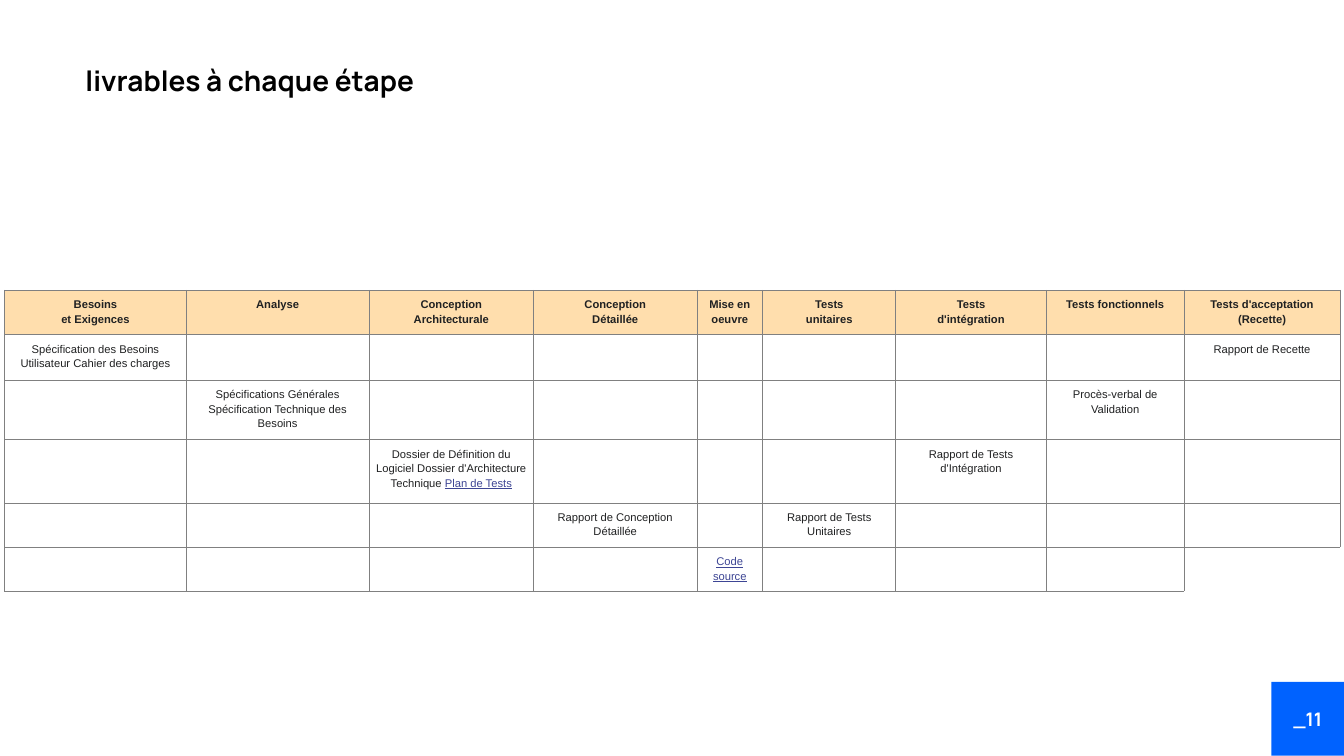
"""Build the slide that lists the deliverables of each V-model stage."""
from lxml import etree
from pptx import Presentation
from pptx import util as u
from pptx.dml.color import RGBColor
from pptx.enum import shapes, text
from pptx.oxml.ns import qn

BLACK = RGBColor(0x00, 0x00, 0x00)
WHITE = RGBColor(0xFF, 0xFF, 0xFF)
BLUE = RGBColor(0x00, 0x62, 0xFF)
INK = RGBColor(0x20, 0x21, 0x22)
LINK = RGBColor(0x3D, 0x45, 0x94)
SAND = RGBColor(0xFF, 0xDE, 0xAD)
GREY = RGBColor(0x80, 0x80, 0x80)

TITLE_FONT = {"name": "Manrope", "size": u.Pt(30), "bold": True}
NUMBER_FONT = {"name": "Manrope", "size": u.Pt(20), "bold": True}
STAGE_FONT = {"name": "Arial", "size": u.Pt(12), "bold": True}
DELIVERABLE_FONT = {"name": "Arial", "size": u.Pt(12), "bold": False}
LINK_FONT = {**DELIVERABLE_FONT, "underline": True}
CENTRED = {"alignment": text.PP_ALIGN.CENTER}
CELL_PARAGRAPH = {**CENTRED, "line_spacing": 1.15}

COLUMN_WIDTHS = [6.86, 6.91, 6.22, 6.17, 2.49, 5.03, 5.69, 5.21, 5.89]
ROW_HEIGHTS = [1.32, 1.07, 1.73, 1.73, 2.39, 1.07, 1.07]
STAGE_ROW = 1
STAGES = [
    ["Besoins", "et Exigences"],
    ["Analyse"],
    ["Conception", "Architecturale"],
    ["Conception", "Détaillée"],
    ["Mise en oeuvre"],
    ["Tests", "unitaires"],
    ["Tests", "d'intégration"],
    ["Tests fonctionnels"],
    ["Tests d'acceptation (Recette)"],
]
DELIVERABLES = {
    (2, 0): ["Spécification des Besoins Utilisateur Cahier des charges"],
    (2, 8): ["Rapport de Recette"],
    (3, 1): ["Spécifications Générales Spécification Technique des Besoins"],
    (3, 7): ["Procès-verbal de Validation"],
    (4, 2): ["Dossier de Définition du Logiciel Dossier d'Architecture Technique ",
             "Plan de Tests"],
    (4, 6): ["Rapport de Tests d'Intégration"],
    (5, 3): ["Rapport de Conception Détaillée"],
    (5, 5): ["Rapport de Tests Unitaires"],
    (6, 4): ["Code source"],
}
LINKED = {"Plan de Tests", "Code source"}


def apply(target, values):
    """Set every attribute named in values on target."""
    for name, value in values.items():
        setattr(target, name, value)


def add_run(paragraph, words, font, colour):
    """Append one formatted run to a paragraph."""
    run = paragraph.add_run()
    run.text = words
    apply(run.font, font)
    run.font.color.rgb = colour


def set_margins(holder, size):
    """Give a text frame or a cell the same margin on all sides."""
    sides = ("left", "top", "right", "bottom")
    apply(holder, {f"margin_{side}": u.Cm(size) for side in sides})


def add_title(slide, words):
    """Add the slide title."""
    title = slide.shapes.add_textbox(u.Cm(2.72), u.Cm(1.88), u.Cm(30.05), u.Cm(2.49))
    title.text_frame.word_wrap = True
    set_margins(title.text_frame, 0.51)
    add_run(title.text_frame.paragraphs[0], words, TITLE_FONT, BLACK)


def add_page_number(slide, words):
    """Add the blue corner block that holds the page number."""
    block = slide.shapes.add_shape(shapes.MSO_SHAPE.RECTANGLE, u.Cm(48.06),
                                   u.Cm(25.78), u.Cm(2.74), u.Cm(2.79))
    block.shadow.inherit = False
    block.fill.solid()
    block.fill.fore_color.rgb = BLUE
    block.line.fill.background()
    block.text_frame.vertical_anchor = text.MSO_ANCHOR.MIDDLE
    set_margins(block.text_frame, 0.51)
    number = block.text_frame.paragraphs[0]
    apply(number, CENTRED)
    add_run(number, words, NUMBER_FONT, WHITE)


def style_cell(cell, fill, sides):
    """Draw grey borders on the given sides, then fill the cell."""
    properties = cell._tc.get_or_add_tcPr()
    for side in sides:
        border = etree.SubElement(properties, qn(f"a:ln{side}"), w=str(u.Pt(0.83)))
        solid = etree.SubElement(border, qn("a:solidFill"))
        etree.SubElement(solid, qn("a:srgbClr"), val=str(GREY))
    cell.fill.solid()
    cell.fill.fore_color.rgb = fill
    set_margins(cell, 0.25)


def border_sides(row, column):
    """Return the sides of a table cell that carry a border."""
    if row < STAGE_ROW:
        return "B"
    if (row, column) == (len(ROW_HEIGHTS) - 1, len(COLUMN_WIDTHS) - 1):
        return "LT"
    return "LRTB"


def write_stage(cell, lines):
    """Write a stage name, one paragraph per line."""
    frame = cell.text_frame
    for index, line in enumerate(lines):
        paragraph = frame.add_paragraph() if index else frame.paragraphs[0]
        apply(paragraph, CELL_PARAGRAPH)
        add_run(paragraph, line, STAGE_FONT, INK)


def write_deliverable(cell, parts):
    """Write the deliverables of a cell, with linked parts underlined."""
    paragraph = cell.text_frame.paragraphs[0]
    apply(paragraph, CELL_PARAGRAPH)
    for part in parts:
        font, colour = (LINK_FONT, LINK) if part in LINKED else (DELIVERABLE_FONT, INK)
        add_run(paragraph, part, font, colour)


def add_deliverables_table(slide):
    """Add the table that crosses stages with deliverables."""
    table = slide.shapes.add_table(
        len(ROW_HEIGHTS), len(COLUMN_WIDTHS), u.Cm(0.18), u.Cm(9.65),
        u.Cm(sum(COLUMN_WIDTHS)), u.Cm(sum(ROW_HEIGHTS))).table
    apply(table, {"first_row": False, "horz_banding": False})
    for column, width in zip(table.columns, COLUMN_WIDTHS):
        column.width = u.Cm(width)
    for row, height in enumerate(ROW_HEIGHTS):
        table.rows[row].height = u.Cm(height)
        for column in range(len(COLUMN_WIDTHS)):
            fill = SAND if row == STAGE_ROW else WHITE
            style_cell(table.cell(row, column), fill, border_sides(row, column))
    for column, lines in enumerate(STAGES):
        write_stage(table.cell(STAGE_ROW, column), lines)
    for position, parts in DELIVERABLES.items():
        write_deliverable(table.cell(*position), parts)


def main():
    """Build and save the presentation."""
    deck = Presentation()
    apply(deck, {"slide_width": u.Cm(50.8), "slide_height": u.Cm(28.58)})
    slide = deck.slides.add_slide(deck.slide_layouts[6])
    add_page_number(slide, "_11")
    add_title(slide, "livrables à chaque étape")
    add_deliverables_table(slide)
    deck.save("out.pptx")


if __name__ == "__main__":
    main()
